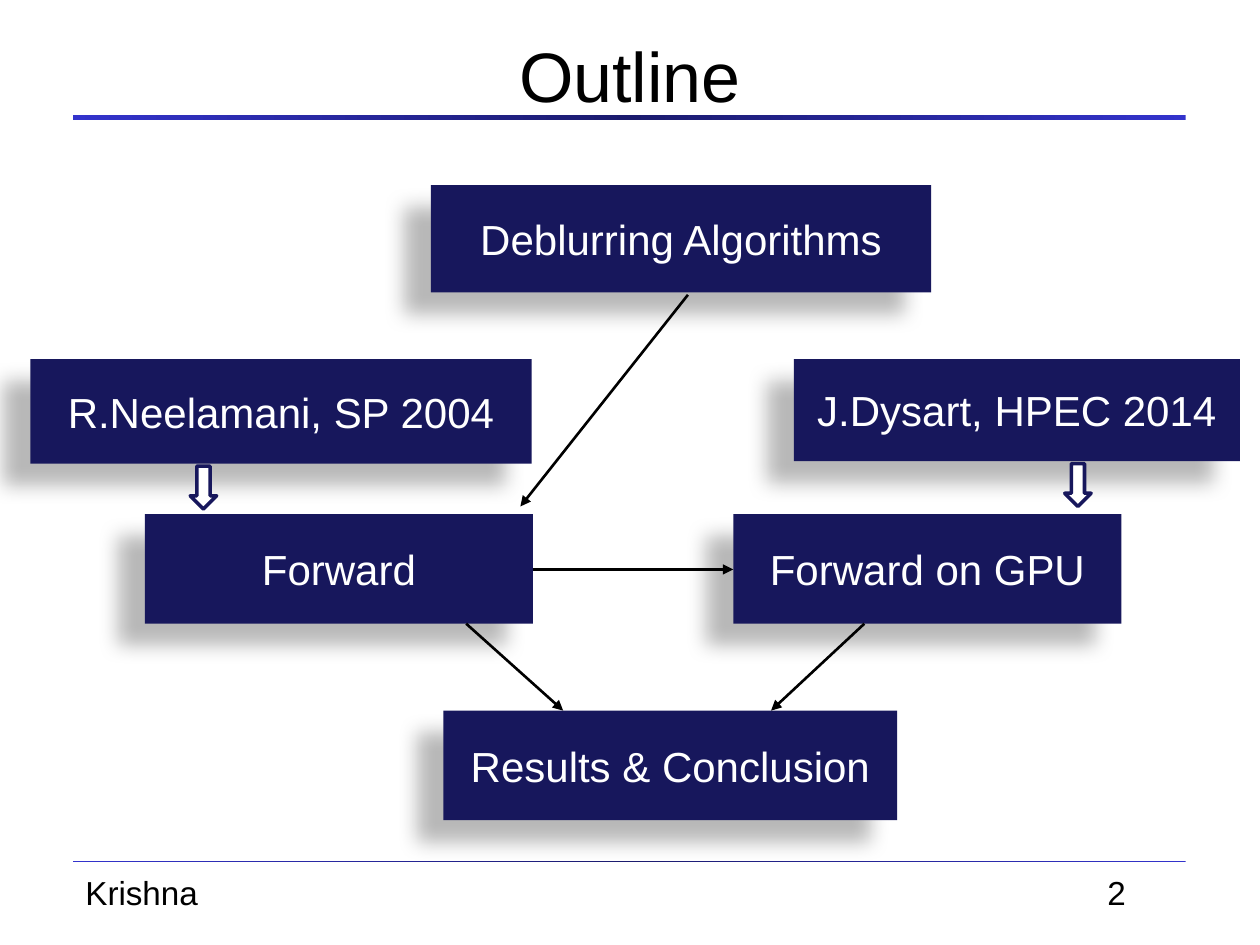
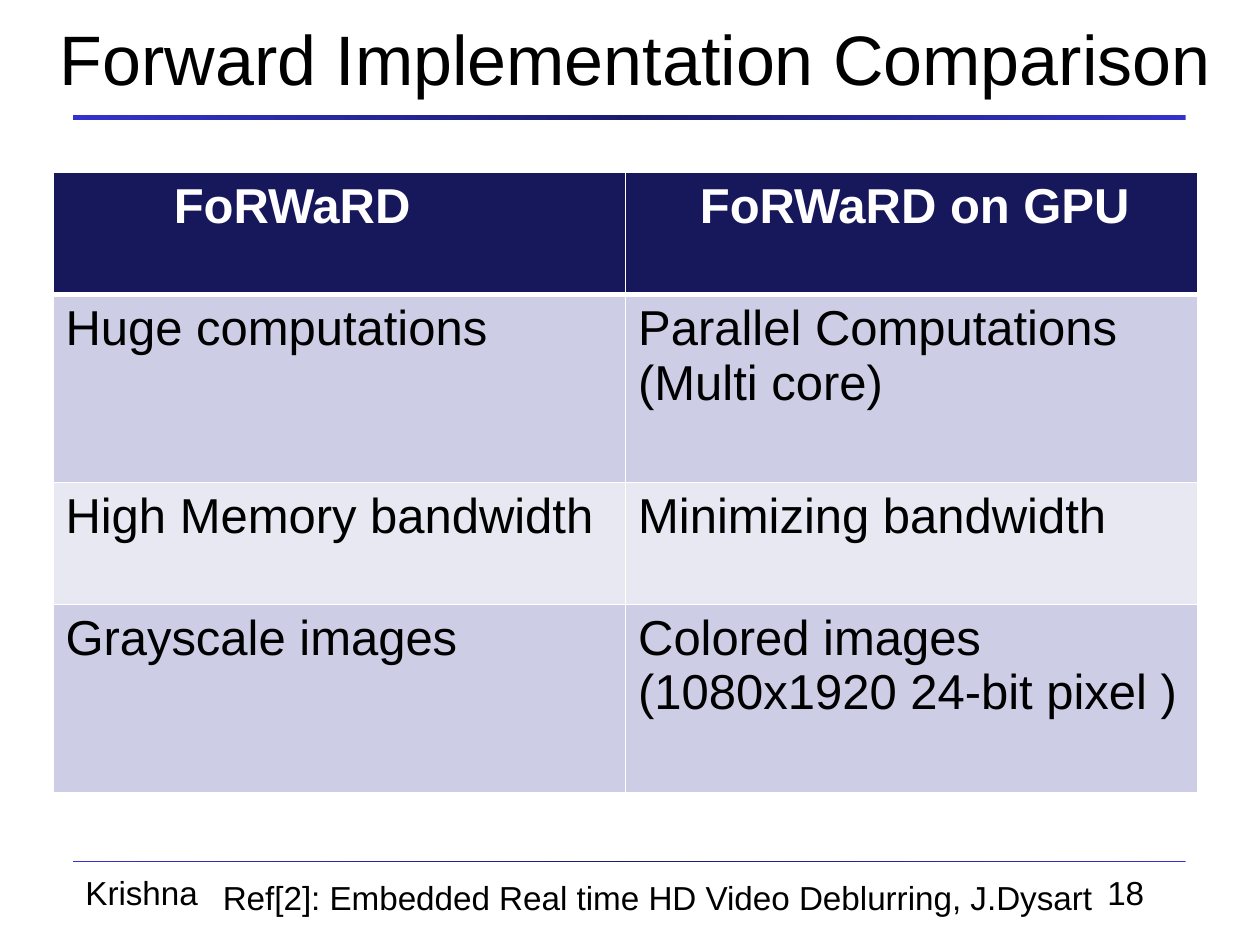
from lxml import etree
from pptx import Presentation
from pptx.dml.color import RGBColor
from pptx.enum.shapes import MSO_CONNECTOR, MSO_SHAPE
from pptx.enum.text import MSO_ANCHOR, MSO_AUTO_SIZE, PP_ALIGN
from pptx.oxml import parse_xml
from pptx.oxml.ns import nsdecls, qn
from pptx.util import Inches, Pt

RECTANGLE = MSO_SHAPE.RECTANGLE
DOWN_ARROW = MSO_SHAPE.DOWN_ARROW
STRAIGHT = MSO_CONNECTOR.STRAIGHT
MIDDLE, TOP = MSO_ANCHOR.MIDDLE, MSO_ANCHOR.TOP
CENTER, LEFT = PP_ALIGN.CENTER, PP_ALIGN.LEFT
GROW = MSO_AUTO_SIZE.SHAPE_TO_FIT_TEXT

FONT = "Arial"
BLACK = RGBColor(0x00, 0x00, 0x00)
WHITE = RGBColor(0xFF, 0xFF, 0xFF)
NAVY = RGBColor(0x17, 0x17, 0x5C)
BLUE = RGBColor(0x33, 0x33, 0xCC)
RULE_DARK = RGBColor(0x1B, 0x1B, 0x6E)
BAND_DARK = RGBColor(0xCD, 0xCD, 0xE6)
BAND_LIGHT = RGBColor(0xE8, 0xE8, 0xF3)

AUTHOR = "Krishna"
TITLE_SIZE, TABLE_SIZE, BOX_SIZE, FOOTER_SIZE = 40, 28, 24, 19


# Text
def write(paragraph, text, size, color=BLACK, bold=False, align=LEFT):
    paragraph.alignment = align
    span = paragraph.add_run()
    span.text = text
    span.font.name = FONT
    span.font.size = Pt(size)
    span.font.bold = bold
    span.font.color.rgb = color


def add_text(page, place, text, size, anchor=TOP, align=LEFT):
    box = page.shapes.add_textbox(*map(Inches, place))
    frame = box.text_frame
    frame.word_wrap = True
    frame.vertical_anchor = anchor
    write(frame.paragraphs[0], text, size, align=align)
    return frame


def add_footer_text(page, place, text):
    frame = add_text(page, place, text, FOOTER_SIZE)
    frame.auto_size = GROW
    frame.margin_right = 0


# Shapes
def add_plain_shape(page, kind, place):
    shape = page.shapes.add_shape(kind, *map(Inches, place))
    shape.shadow.inherit = False
    shape.line.fill.background()
    return shape


def add_rule(page, top, height):
    rule = add_plain_shape(page, RECTANGLE, (0.58, top, 8.83, height))
    rule.fill.gradient()
    rule.fill.gradient_angle = 0
    stops = rule.element.spPr.find(qn("a:gradFill")).find(qn("a:gsLst"))
    for stop in list(stops):
        stops.remove(stop)
    for position, color in ((0, BLUE), (50000, RULE_DARK), (100000, BLUE)):
        stop = etree.SubElement(stops, qn("a:gs"), pos=str(position))
        etree.SubElement(stop, qn("a:srgbClr"), val=str(color))


def add_topic(page, place, text):
    topic = add_plain_shape(page, RECTANGLE, place)
    topic.fill.solid()
    topic.fill.fore_color.rgb = NAVY
    effects = topic.element.spPr.find(qn("a:effectLst"))
    effects.append(parse_xml(
        f'<a:outerShdw {nsdecls("a")} blurRad="{Pt(11.8)}" dist="{Pt(19.7)}" '
        f'dir="{141 * 60000}" algn="ctr" rotWithShape="0">'
        '<a:srgbClr val="000000"><a:alpha val="28000"/></a:srgbClr></a:outerShdw>'))
    frame = topic.text_frame
    frame.word_wrap = True
    frame.vertical_anchor = MIDDLE
    write(frame.paragraphs[0], text, BOX_SIZE, WHITE, align=CENTER)


def add_block_arrow(page, left, top):
    arrow = add_plain_shape(page, DOWN_ARROW, (left, top, 0.21, 0.34))
    arrow.fill.solid()
    arrow.fill.fore_color.rgb = WHITE
    arrow.line.color.rgb = NAVY
    arrow.line.width = Pt(2)


def add_arrow(page, start, end):
    arrow = page.shapes.add_connector(STRAIGHT, *map(Inches, start + end))
    arrow.line.color.rgb = BLACK
    arrow.line.width = Pt(1.5)
    etree.SubElement(arrow.line._get_or_add_ln(), qn("a:tailEnd"), type="triangle")
    etree.SubElement(arrow.element.spPr, qn("a:effectLst"))


# Table
def set_borders(cell, bottom):
    properties = cell._tc.get_or_add_tcPr()
    widths = {"lnL": 1, "lnR": 1, "lnT": 1, "lnB": bottom}
    for index, (side, width) in enumerate(widths.items()):
        properties.insert(index, parse_xml(
            f'<a:{side} {nsdecls("a")} w="{Pt(width)}"><a:solidFill>'
            f'<a:srgbClr val="{WHITE}"/></a:solidFill></a:{side}>'))


def add_comparison(page, place, rows, heights, header_indents):
    frame = page.shapes.add_table(len(rows), len(rows[0]), *map(Inches, place))
    table = frame.table
    for r, texts in enumerate(rows):
        table.rows[r].height = Inches(heights[r])
        header = r == 0
        fill = NAVY if header else (BAND_LIGHT, BAND_DARK)[r % 2]
        for c, text in enumerate(texts):
            cell = table.cell(r, c)
            cell.fill.solid()
            cell.fill.fore_color.rgb = fill
            set_borders(cell, 3 if header else 1)
            paragraph = cell.text_frame.paragraphs[0]
            write(paragraph, text, TABLE_SIZE, WHITE if header else BLACK, header)
            if header:
                indent = Inches(header_indents[c])
                paragraph._p.get_or_add_pPr().set("marL", str(indent))


# Slides
def add_page(deck, title, title_place, number):
    page = deck.slides.add_slide(deck.slide_layouts[6])
    add_rule(page, 0.91, 0.04)
    add_rule(page, 6.83, 0.01)
    add_footer_text(page, (0.58, 6.87, 2.77, 0.42), AUTHOR)
    add_footer_text(page, (8.69, 6.87, 0.73, 0.42), number)
    add_text(page, title_place, title, TITLE_SIZE, MIDDLE, CENTER)
    return page


def build_outline(deck):
    page = add_page(deck, "Outline", (0.75, 0.13, 8.5, 0.92), "2")
    topics = (
        ((3.52, 5.64, 3.6, 0.87), "Results & Conclusion"),
        ((5.82, 4.08, 3.08, 0.87), "Forward on GPU"),
        ((1.15, 4.08, 3.08, 0.87), "Forward"),
        ((3.42, 1.47, 3.97, 0.85), "Deblurring Algorithms"),
        ((0.24, 2.85, 3.98, 0.83), "R.Neelamani, SP 2004"),
        ((6.3, 2.85, 3.54, 0.81), "J.Dysart, HPEC 2014"),
    )
    for place, text in topics:
        add_topic(page, place, text)
    add_block_arrow(page, 1.51, 3.7)
    add_block_arrow(page, 8.45, 3.68)
    arrows = (
        ((3.7, 4.95), (4.47, 5.64)),
        ((6.86, 4.95), (6.12, 5.64)),
        ((4.23, 4.52), (5.82, 4.52)),
        ((5.46, 2.34), (4.13, 4.02)),
    )
    for start, end in arrows:
        add_arrow(page, start, end)


def build_comparison(deck):
    page = add_page(deck, "Forward Implementation Comparison",
                    (0.22, 0, 9.64, 0.92), "18")
    rows = (
        ("FoRWaRD", "FoRWaRD on GPU"),
        ("Huge computations", "Parallel Computations (Multi core)"),
        ("High Memory bandwidth", "Minimizing bandwidth"),
        ("Grayscale images", "Colored images (1080x1920 24-bit pixel )"),
    )
    add_comparison(page, (0.42, 1.37, 9.09, 4.93), rows,
                   heights=(0.97, 1.49, 0.97, 1.49), header_indents=(0.86, 0.49))
    add_footer_text(page, (1.67, 6.91, 7.14, 0.42),
                    "Ref[2]: Embedded Real time HD Video Deblurring, J.Dysart")


def main():
    deck = Presentation()
    deck.slide_width = Inches(10)
    deck.slide_height = Inches(7.5)
    build_outline(deck)
    build_comparison(deck)
    deck.save("out.pptx")


if __name__ == "__main__":
    main()
